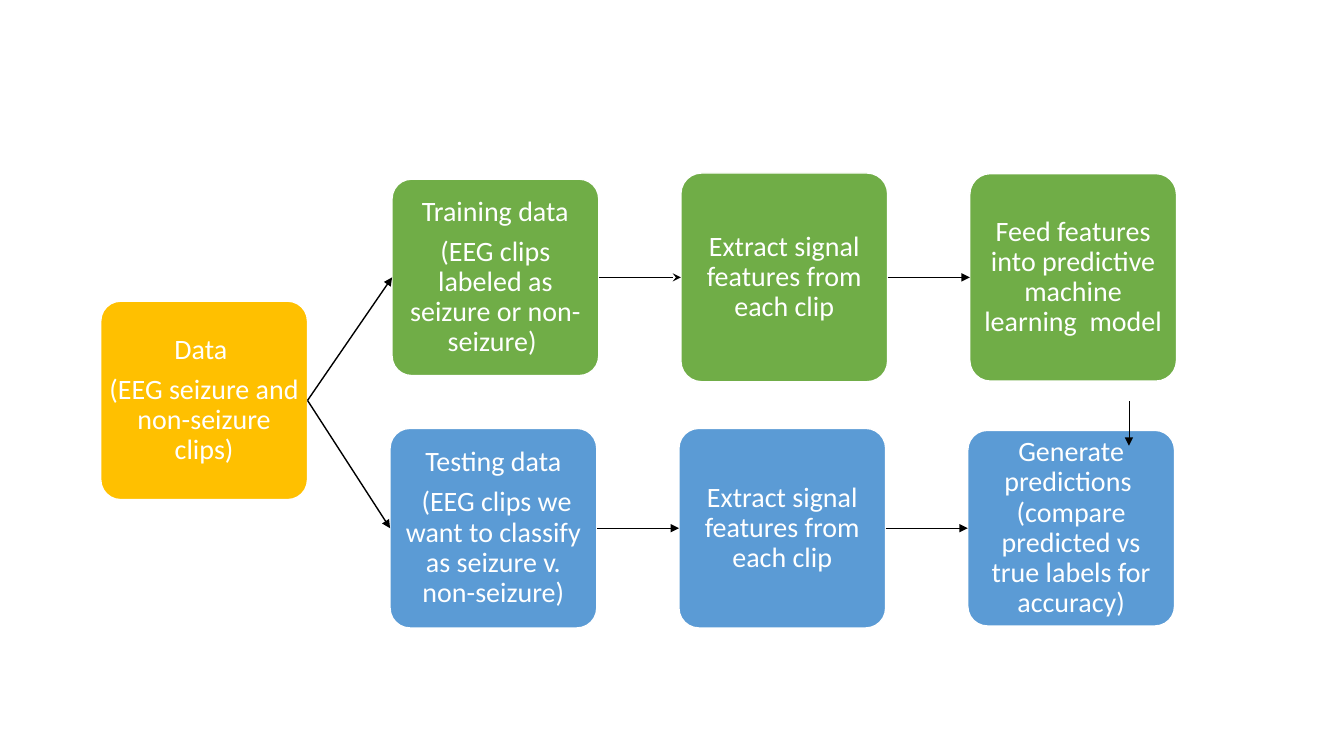
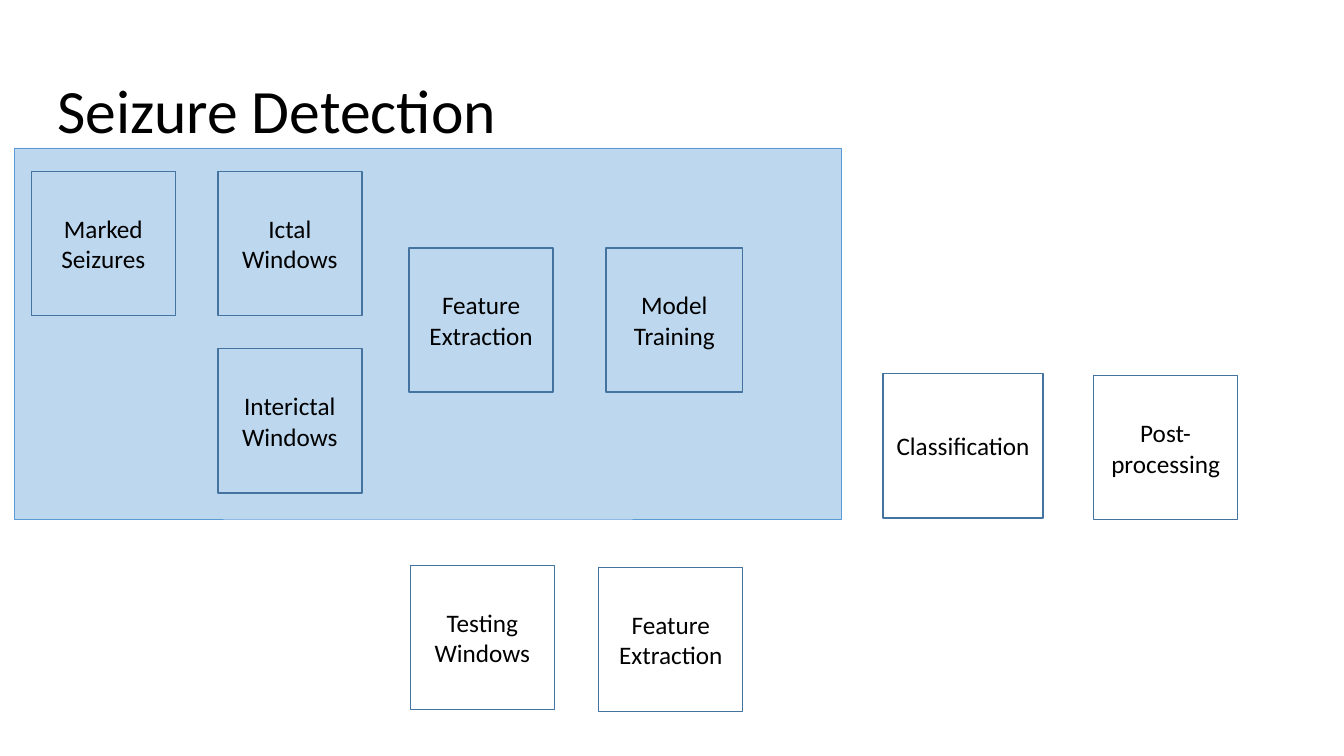
from dataclasses import dataclass

from pptx import Presentation
from pptx.dml.color import RGBColor
from pptx.enum.shapes import MSO_CONNECTOR as Connector, MSO_SHAPE as ShapeKind
from pptx.enum.text import MSO_ANCHOR as Anchor, PP_ALIGN as Align
from pptx.oxml.ns import qn
from pptx.util import Cm, Pt
from lxml.etree import SubElement

FONT = "Calibri"
BLACK = RGBColor(0x00, 0x00, 0x00)
WHITE = RGBColor(0xFF, 0xFF, 0xFF)
AMBER = RGBColor(0xFF, 0xC0, 0x00)
GREEN = RGBColor(0x70, 0xAD, 0x47)
BLUE = RGBColor(0x5B, 0x9B, 0xD5)
PALE_BLUE = RGBColor(0xBD, 0xD7, 0xEE)
OUTLINE_BLUE = RGBColor(0x43, 0x73, 0x9E)

TITLE_LAYOUT, BLANK_LAYOUT = 5, 6
RIGHT_SIDE, LEFT_SIDE = 3, 1

# Flow chart grid, in centimetres
CARD_WIDTH = 5.21
CARD_STEP = 7.28
STAGE_SIDE = 3.63


@dataclass(frozen=True)
class Card:
    text: str
    height: float


@dataclass(frozen=True)
class CardRow:
    left: float
    middle: float
    color: RGBColor
    cards: tuple
    heads: tuple = ()


@dataclass(frozen=True)
class Stage:
    text: str
    left: float
    top: float
    width: float = STAGE_SIDE


DATA_ROW = CardRow(2.54, 10.09, AMBER, (
    Card("Data \n(EEG seizure and non-seizure clips)", 5.0),
))
TRAINING_ROW = CardRow(9.88, 6.99, GREEN, (
    Card("Training data\n(EEG clips labeled as seizure or non-seizure) ", 4.95),
    Card("Extract signal features from each clip", 5.26),
    Card("Feed features into predictive machine learning  model", 5.23),
), ("stealth", "triangle"))
TESTING_ROW = CardRow(9.83, 13.31, BLUE, (
    Card("Testing data\n (EEG clips we want to classify as seizure v. non-seizure)", 5.03),
    Card("Extract signal features from each clip", 5.03),
    Card("Generate predictions  (compare predicted vs true labels for accuracy)", 4.93),
), ("triangle", "triangle"))

STAGES = (
    Stage("Marked Seizures", 0.79, 4.32),
    Stage("Ictal\nWindows", 5.49, 4.32),
    Stage("Interictal Windows", 5.49, 8.79),
    Stage("Feature Extraction", 10.31, 6.25),
    Stage("Model Training", 15.27, 6.25, 3.45),
    Stage("Testing Windows", 10.34, 14.25),
    Stage("Feature Extraction", 15.09, 14.3),
    Stage("Classification", 22.25, 9.42, 4.04),
    Stage("Post-processing", 27.56, 9.47),
)


def format_text(text_frame, size: float, color: RGBColor, align=Align.CENTER,
                line_spacing: float = 1.0, space_after: float = 0) -> None:
    text_frame.word_wrap = True
    text_frame.vertical_anchor = Anchor.MIDDLE
    for paragraph in text_frame.paragraphs:
        paragraph.alignment = align
        paragraph.line_spacing = line_spacing
        paragraph.space_after = Pt(space_after)
        for run in paragraph.runs:
            run.font.name = FONT
            run.font.size = Pt(size)
            run.font.color.rgb = color


def add_box(slide, kind, left: float, top: float, width: float, height: float,
            fill: RGBColor | None, line: RGBColor, line_width: float = 1):
    shape = slide.shapes.add_shape(kind, Cm(left), Cm(top), Cm(width), Cm(height))
    shape.shadow.inherit = False
    if fill is None:
        shape.fill.background()
    else:
        shape.fill.solid()
        shape.fill.fore_color.rgb = fill
    shape.line.color.rgb = line
    shape.line.width = Pt(line_width)
    return shape


def add_arrow(slide, start: tuple = (0, 0), end: tuple = (0, 0),
              width: float = 1, head: str = "triangle"):
    arrow = slide.shapes.add_connector(
        Connector.STRAIGHT, Cm(start[0]), Cm(start[1]), Cm(end[0]), Cm(end[1]))
    arrow.line.color.rgb = BLACK
    arrow.line.width = Pt(width)
    SubElement(arrow.line._get_or_add_ln(), qn("a:tailEnd"), type=head)
    SubElement(arrow._element.spPr, qn("a:effectLst"))
    return arrow


def join_cards(slide, source, target, head: str = "triangle") -> None:
    arrow = add_arrow(slide, head=head)
    arrow.begin_connect(source, RIGHT_SIDE)
    arrow.end_connect(target, LEFT_SIDE)


def add_card_row(slide, row: CardRow) -> list:
    shapes = []
    for column, card in enumerate(row.cards):
        shape = add_box(slide, ShapeKind.ROUNDED_RECTANGLE,
                        row.left + column * CARD_STEP, row.middle - card.height / 2,
                        CARD_WIDTH, card.height, row.color, WHITE)
        shape.adjustments[0] = 0.1
        text_frame = shape.text_frame
        text_frame.margin_left = text_frame.margin_right = Cm(0.03)
        text_frame.margin_top = text_frame.margin_bottom = Cm(0.03)
        text_frame.text = card.text
        format_text(text_frame, 20, WHITE, line_spacing=0.9, space_after=7)
        shapes.append(shape)
    for source, target, head in zip(shapes, shapes[1:], row.heads):
        join_cards(slide, source, target, head)
    return shapes


def build_workflow_slide(presentation) -> None:
    slide = presentation.slides.add_slide(presentation.slide_layouts[BLANK_LAYOUT])
    data_card = add_card_row(slide, DATA_ROW)[0]
    for row in (TRAINING_ROW, TESTING_ROW):
        join_cards(slide, data_card, add_card_row(slide, row)[0])
    # Trained model feeds the predictions
    add_arrow(slide, (28.45, 10.11), (28.45, 11.23), width=0.5)


def build_detection_slide(presentation) -> None:
    slide = presentation.slides.add_slide(presentation.slide_layouts[TITLE_LAYOUT])
    # Title
    title = slide.shapes.title
    title.left, title.top = Cm(1.19), Cm(1.02)
    title.width, title.height = Cm(29.21), Cm(3.68)
    title.text_frame.text = "Seizure Detection"
    format_text(title.text_frame, 44, BLACK, Align.LEFT, line_spacing=0.9)
    # Training panel
    add_box(slide, ShapeKind.RECTANGLE, 0.36, 3.73, 20.85, 9.35, PALE_BLUE, BLUE, 0.5)
    # Stages
    for stage in STAGES:
        shape = add_box(slide, ShapeKind.RECTANGLE, stage.left, stage.top,
                        stage.width, STAGE_SIDE, None, OUTLINE_BLUE)
        shape.text_frame.text = stage.text
        format_text(shape.text_frame, 18, BLACK)


def main() -> None:
    presentation = Presentation()
    presentation.slide_width = Cm(33.87)
    presentation.slide_height = Cm(19.05)
    build_workflow_slide(presentation)
    build_detection_slide(presentation)
    presentation.save("out.pptx")


if __name__ == "__main__":
    main()
